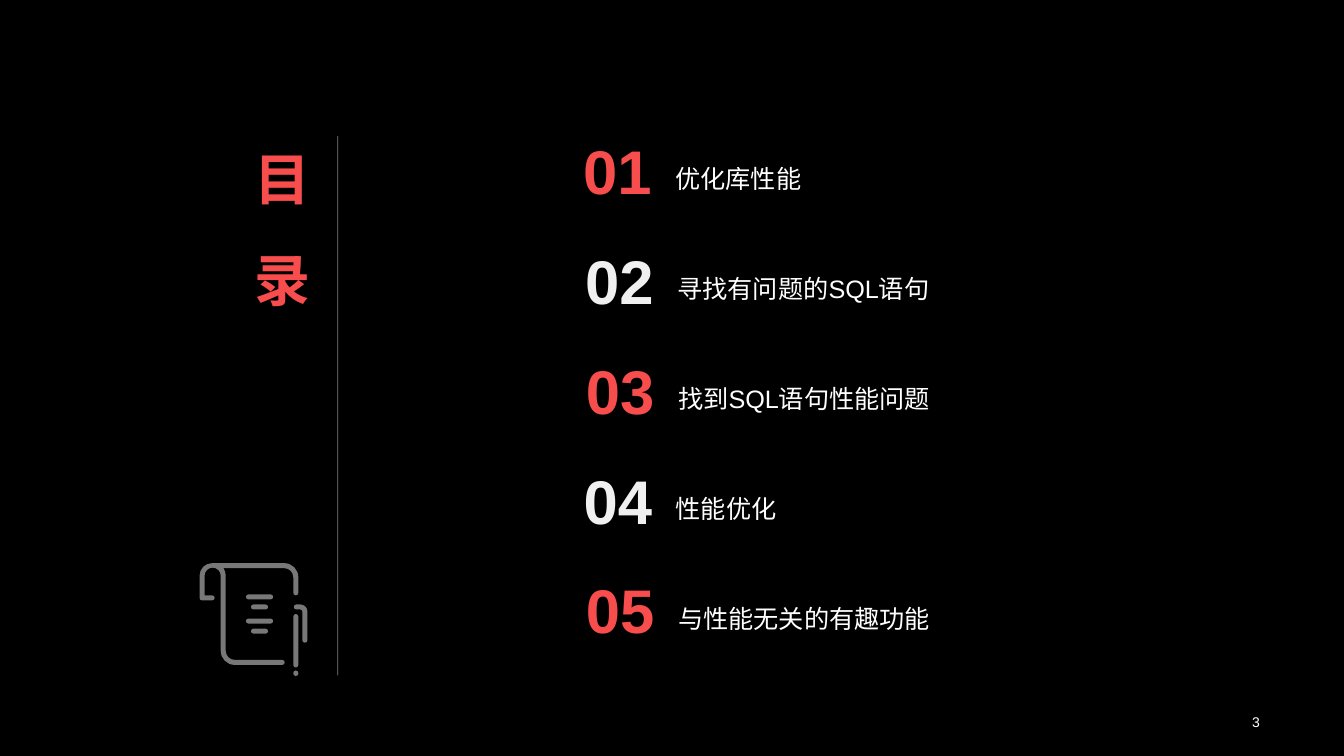
"""Build the contents slide: a titled side rail with a scroll icon and five numbered topics."""
from dataclasses import dataclass
from math import ceil, cos, radians, sin, tan

from lxml import etree
from pptx import Presentation
from pptx.dml.color import RGBColor
from pptx.enum.shapes import MSO_CONNECTOR
from pptx.enum.text import MSO_ANCHOR, MSO_AUTO_SIZE, PP_ALIGN
from pptx.oxml.ns import qn
from pptx.util import Cm, Pt

LEFT, CENTER, RIGHT = PP_ALIGN.LEFT, PP_ALIGN.CENTER, PP_ALIGN.RIGHT
MIDDLE, BOTTOM = MSO_ANCHOR.MIDDLE, MSO_ANCHOR.BOTTOM
GROW = MSO_AUTO_SIZE.SHAPE_TO_FIT_TEXT
STRAIGHT = MSO_CONNECTOR.STRAIGHT

Node = tuple[float, float, bool]


@dataclass(frozen=True)
class Theme:
    """Colours, font and type sizes of the slide."""
    back: RGBColor = RGBColor(0x00, 0x00, 0x00)
    text: RGBColor = RGBColor(0xFF, 0xFF, 0xFF)
    accent: RGBColor = RGBColor(0xF8, 0x4D, 0x4D)
    pale: RGBColor = RGBColor(0xF0, 0xF0, 0xF0)
    font: str = "Arial"
    title: float = 40
    number: float = 44
    label: float = 18
    page: float = 10


@dataclass(frozen=True)
class TextBox:
    """A text box in centimetres with its format."""
    left: float
    top: float
    width: float
    height: float
    lines: tuple[str, ...]
    size: float
    color: RGBColor
    bold: bool = False
    align: PP_ALIGN = LEFT
    anchor: MSO_ANCHOR = MIDDLE
    wrap: bool = True
    spacing: float = 1.0


@dataclass(frozen=True)
class Topic:
    """One entry of the contents and the left edge of its number."""
    label: str
    left: float


THEME = Theme()
TOPICS = (
    Topic("优化库性能", 14.43),
    Topic("寻找有问题的SQL语句", 14.48),
    Topic("找到SQL语句性能问题", 14.5),
    Topic("性能优化", 14.44),
    Topic("与性能无关的有趣功能", 14.5),
)
TOPIC_TOP, TOPIC_PITCH = 3.21, 2.77
ICON_LEFT, ICON_TOP, ICON_UNIT = 5.03, 14.19, 0.0254
PEN = 2.5


def set_all(target: object, values: dict[str, object]) -> None:
    """Set each named attribute of the target."""
    for name, value in values.items():
        setattr(target, name, value)


def add_text(slide, box: TextBox) -> None:
    """Draw one text box."""
    tb = slide.shapes.add_textbox(Cm(box.left), Cm(box.top), Cm(box.width), Cm(box.height))
    tf = tb.text_frame
    set_all(tf, {"word_wrap": box.wrap, "auto_size": GROW, "vertical_anchor": box.anchor})
    for i, line in enumerate(box.lines):
        p = tf.paragraphs[0] if i == 0 else tf.add_paragraph()
        set_all(p, {"alignment": box.align, "line_spacing": box.spacing})
        r = p.add_run()
        r.text = line
        set_all(r.font, {"name": THEME.font, "size": Pt(box.size), "bold": box.bold})
        r.font.color.rgb = box.color


def set_alpha(sp, percent: int) -> None:
    """Make the shape's solid colour partly transparent."""
    clr = next(sp._element.spPr.iter(qn("a:srgbClr")))
    etree.SubElement(clr, qn("a:alpha")).set("val", str(percent * 1000))


def arc(x: float, y: float, radius: float, start: int, end: int) -> list[Node]:
    """Give an arc's start and its cubic curves, clockwise from the right."""
    count = ceil(abs(end - start) / 90)
    step = radians((end - start) / count)
    pull = 4 / 3 * tan(step / 4)
    nodes = [(x + radius * cos(radians(start)), y + radius * sin(radians(start)), False)]
    for i in range(count):
        a = radians(start) + i * step
        b = a + step
        nodes += [
            (x + radius * (cos(a) - pull * sin(a)), y + radius * (sin(a) + pull * cos(a)), True),
            (x + radius * (cos(b) + pull * sin(b)), y + radius * (sin(b) - pull * cos(b)), True),
            (x + radius * cos(b), y + radius * sin(b), True),
        ]
    return nodes


def pill(x1: float, y1: float, x2: float, y2: float) -> list[Node]:
    """Outline a round-ended horizontal or vertical stroke."""
    turn = 90 if x1 == x2 else 0
    return (arc(x2, y2, PEN, turn - 90, turn + 90)
            + arc(x1, y1, PEN, turn + 90, turn + 270))


def scroll_outline() -> list[Node]:
    """Outline the sheet with its curled left edge."""
    return [
        *arc(95.5, 29.5, PEN, 180, 0),
        *arc(84, 14, 14, 0, -90),
        *arc(12.5, 12.5, 12.5, -90, -180),
        *arc(2.5, 34.5, PEN, 180, 90),
        *arc(12.5, 34.5, PEN, 90, -90),
        (5, 32, False),
        *arc(13, 12.5, 8, -180, 0),
        *arc(35, 87, 14, 180, 90),
        *arc(82, 98.5, PEN, 90, -90),
        *arc(35, 87, 9, 90, 180),
        *arc(13, 12.5, 13, 0, -35),
        *arc(84, 14, 9, -90, 0),
    ]


def pen_outline() -> list[Node]:
    """Outline the hooked clip of the pen."""
    return [
        *arc(100, 48, 7, -90, 0),
        *arc(104.5, 76.5, PEN, 0, 180),
        *arc(100, 48, 2, 0, -90),
        *arc(96, 43.5, PEN, 90, 270),
    ]


def bend(sp, flags: list[bool]) -> None:
    """Join each three flagged line segments into one cubic curve."""
    segments = [pt.getparent() for pt in sp._element.spPr.iter(qn("a:pt"))]
    curved = [seg for seg, flag in zip(segments, flags) if flag]
    for first, second, third in zip(curved[::3], curved[1::3], curved[2::3]):
        first.tag = qn("a:cubicBezTo")
        for seg in (second, third):
            first.append(seg[0])
            seg.getparent().remove(seg)


def add_icon(slide) -> None:
    """Draw the scroll and pen as one freeform."""
    strokes = [(48.5, 33.5, 70.5, 33.5), (53.5, 43.5, 65.5, 43.5), (48.5, 57.5, 70.5, 57.5),
               (53.5, 67.5, 65.5, 67.5), (95.5, 53, 95.5, 101), (95.5, 109, 95.5, 109.5)]
    outlines = [scroll_outline(), pen_outline(), *(pill(*s) for s in strokes)]
    builder = None
    for outline in outlines:
        pts = [(Cm(ICON_LEFT + x * ICON_UNIT), Cm(ICON_TOP + y * ICON_UNIT))
               for x, y, _ in outline]
        if builder is None:
            builder = slide.shapes.build_freeform(*pts[0])
        else:
            builder.move_to(*pts[0])
        builder.add_line_segments(pts[1:], close=True)
    sp = builder.convert_to_shape()
    bend(sp, [curved for outline in outlines for _, _, curved in outline])
    sp.shadow.inherit = False
    sp.fill.solid()
    sp.fill.fore_color.rgb = THEME.pale
    sp.line.fill.background()
    set_alpha(sp, 50)


def add_rail(slide) -> None:
    """Draw the thin vertical rule."""
    line = slide.shapes.add_connector(STRAIGHT, Cm(8.51), Cm(3.43), Cm(8.51), Cm(17.02))
    set_all(line.line, {"width": Pt(0.5)})
    line.line.color.rgb = THEME.text
    set_alpha(line, 50)
    etree.SubElement(line._element.spPr, qn("a:effectLst"))


def add_topic(slide, index: int, topic: Topic) -> None:
    """Draw one numbered topic."""
    top = TOPIC_TOP + index * TOPIC_PITCH
    color = THEME.pale if index % 2 else THEME.accent
    add_text(slide, TextBox(topic.left + 2.34, top + 0.78, 8.05, 1.02, (topic.label,),
                            THEME.label, THEME.text, anchor=BOTTOM))
    add_text(slide, TextBox(topic.left, top, 2.26, 2.13, (f"{index + 1:02}",),
                            THEME.number, color, bold=True, align=CENTER, wrap=False))


prs = Presentation()
set_all(prs, {"slide_width": Cm(33.87), "slide_height": Cm(19.05)})
s = prs.slides.add_slide(prs.slide_layouts[6])
s.background.fill.solid()
s.background.fill.fore_color.rgb = THEME.back
add_text(s, TextBox(24.61, 17.84, 7.39, 0.69, ("3",), THEME.page, THEME.text, align=RIGHT))
add_rail(s)
add_text(s, TextBox(5.74, 2.79, 2.77, 5.08, ("目", "录"), THEME.title, THEME.accent,
                    bold=True, align=CENTER, spacing=1.5))
add_icon(s)
for number, entry in enumerate(TOPICS):
    add_topic(s, number, entry)
prs.save("out.pptx")
